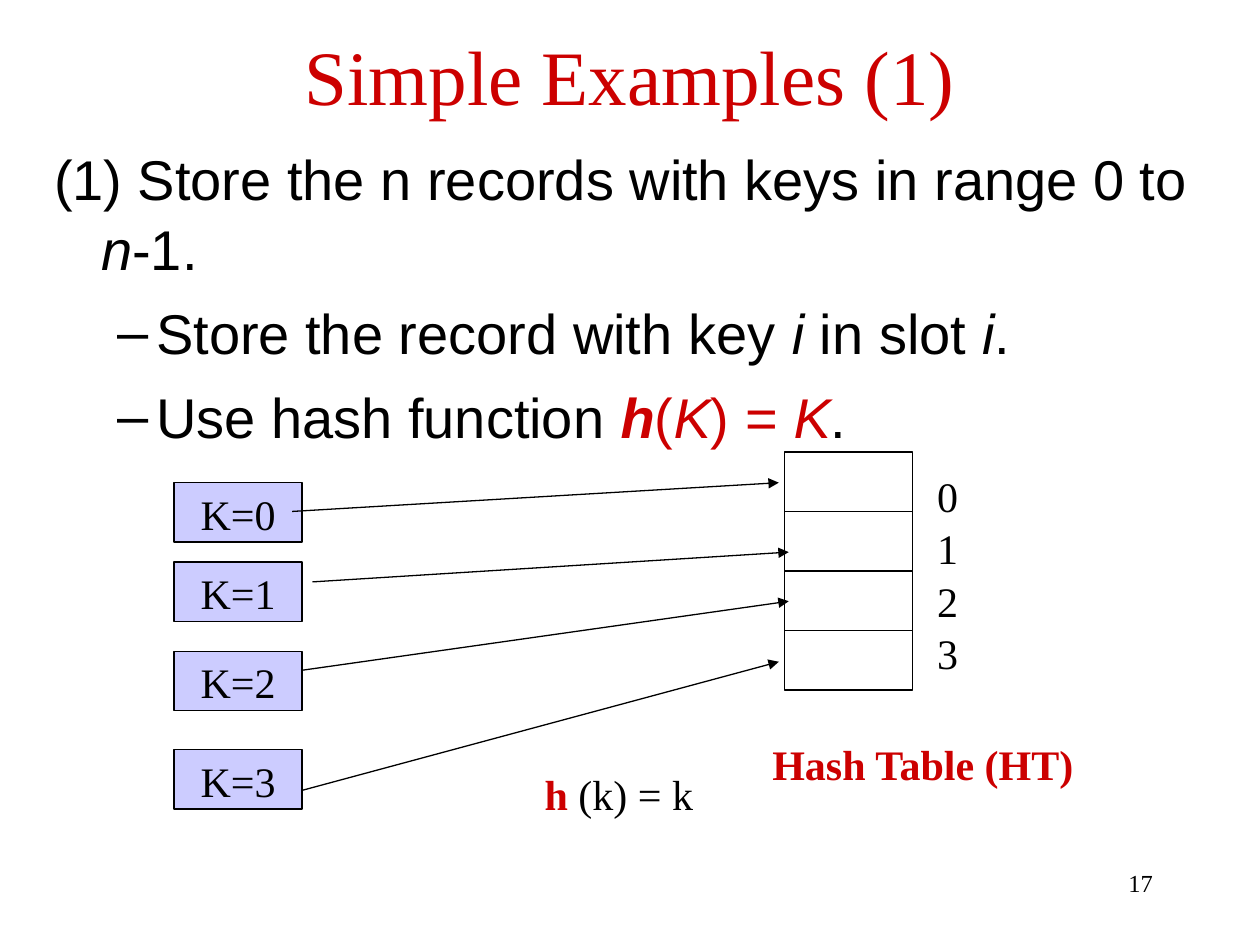
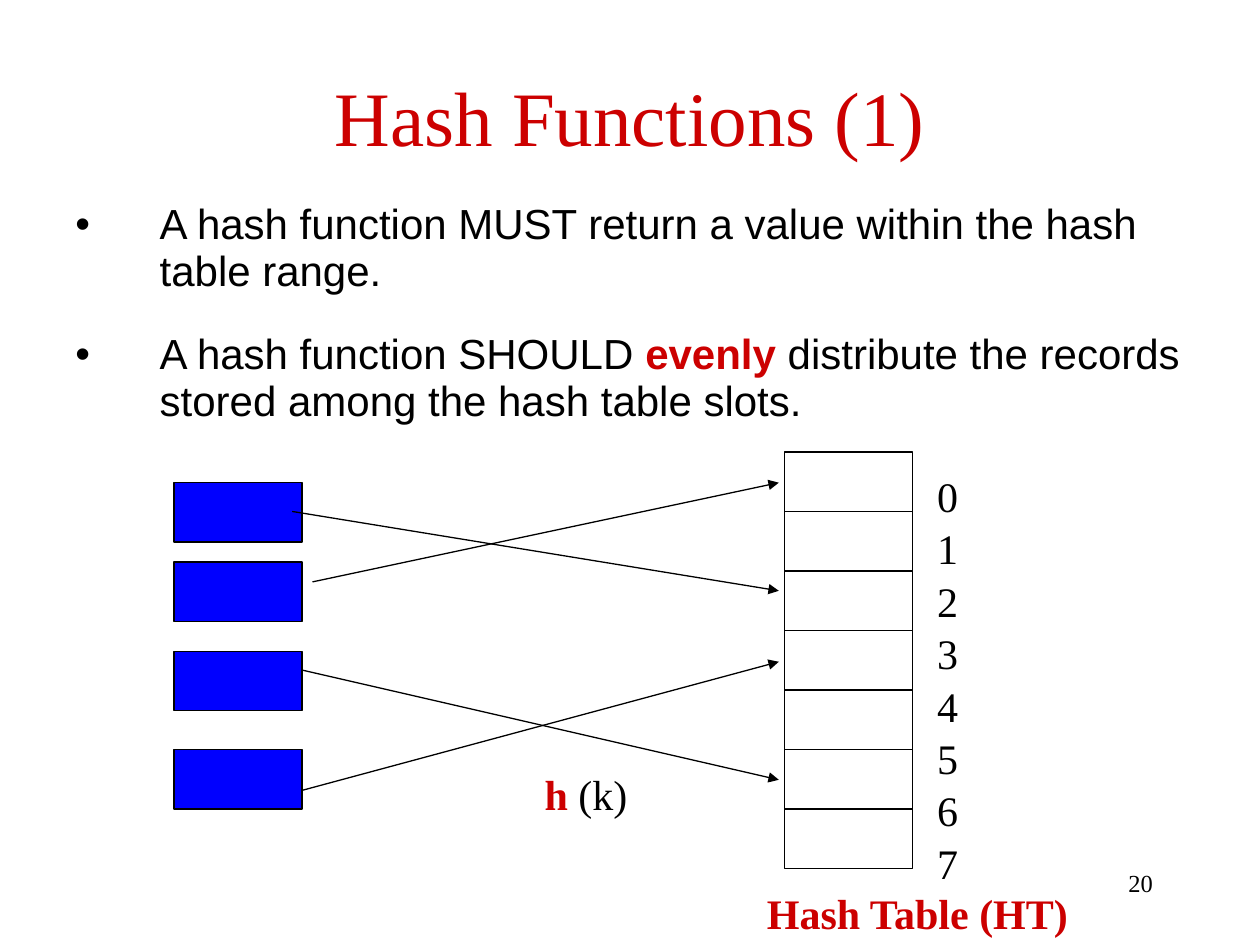
from dataclasses import dataclass
from lxml.etree import SubElement as Sub
from pptx import Presentation
from pptx.dml.color import RGBColor as Rgb
from pptx.enum.shapes import MSO_CONNECTOR as Link, MSO_SHAPE as Form
from pptx.enum.text import MSO_ANCHOR as Anchor, PP_ALIGN as Align
from pptx.oxml.ns import qn
from pptx.util import Cm, Pt


@dataclass(frozen=True)
class Theme:
    red: str = "CC0000"
    black: str = "000000"
    pale: str = "CCCCFF"
    blue: str = "0000FF"
    serif: str = "Times New Roman"
    sans: str = "Arial"
    head: int = 44
    large: int = 32
    base: int = 24
    small: int = 14
    rule: float = 0.75
    lead: float = 1.04


THEME = Theme()
KEY_TOPS = (9.73, 11.33, 13.13, 15.11)
STARTS = ((5.89, 10.31), (6.3, 11.73), (6.1, 13.51), (6.1, 15.93))
KEY_LEFT, SLOT_LEFT, SLOT_TOP = 3.51, 15.82, 9.11
CELL = (2.58, 1.2)


def red(text, bold=False, slant=False):
    return text, {"color": THEME.red, "bold": bold, "slant": slant}


def slant(text):
    return text, {"slant": True}


def write(frame, text, size=THEME.base, face=THEME.serif, color=THEME.black,
          bold=False, align=Align.LEFT, lead=THEME.lead, gap=0,
          hang=0, left=0, mark=None, new=False):
    para = frame.add_paragraph() if new else frame.paragraphs[0]
    props = para._p.get_or_add_pPr()
    if hang:
        props.set("marL", str(Cm(left)))
        props.set("indent", str(-Cm(hang)))
    if mark:
        Sub(props, qn("a:buFont"), typeface=THEME.sans)
        Sub(props, qn("a:buChar"), char=mark)
    para.alignment = align
    para.line_spacing = lead
    para.space_before = Pt(gap)
    for part in [text] if isinstance(text, str) else text:
        words, look = (part, {}) if isinstance(part, str) else part
        run = para.add_run()
        run.text = words
        font = run.font
        font.name, font.size = face, Pt(size)
        font.bold = look.get("bold", bold)
        font.italic = look.get("slant", False)
        font.color.rgb = Rgb.from_string(look.get("color", color))


class Deck:
    def __init__(self, theme):
        self.theme = theme
        self.file = Presentation()
        self.file.slide_width, self.file.slide_height = Cm(25.4), Cm(19.05)
        self.slide = None

    def page(self, title, top, number):
        self.slide = self.file.slides.add_slide(self.file.slide_layouts[6])
        self.text(title, 1.27, top, 22.86, 2.54, anchor=Anchor.MIDDLE,
                  size=self.theme.head, color=self.theme.red, align=Align.CENTER)
        self.text(str(number), 18.21, 17.35, 5.28, 1.27,
                  size=self.theme.small, align=Align.RIGHT)

    def frame(self, left, top, width, height, anchor=Anchor.TOP):
        box = self.slide.shapes.add_textbox(Cm(left), Cm(top), Cm(width), Cm(height))
        frame = box.text_frame
        frame.word_wrap = True
        frame.vertical_anchor = anchor
        return frame

    def text(self, text, left, top, width, height, anchor=Anchor.TOP, **style):
        write(self.frame(left, top, width, height, anchor), text, **style)

    def cell(self, left, top, fill=None, label=None):
        box = self.slide.shapes.add_shape(
            Form.RECTANGLE, Cm(left), Cm(top), *map(Cm, CELL))
        box.shadow.inherit = False
        box.line.color.rgb = Rgb.from_string(self.theme.black)
        box.line.width = Pt(self.theme.rule)
        if fill:
            box.fill.solid()
            box.fill.fore_color.rgb = Rgb.from_string(fill)
        else:
            box.fill.background()
        if label:
            box.text_frame.vertical_anchor = Anchor.MIDDLE
            write(box.text_frame, label, align=Align.CENTER)

    def arrow(self, start, end):
        line = self.slide.shapes.add_connector(
            Link.STRAIGHT, *map(Cm, start), *map(Cm, end))
        line.line.color.rgb = Rgb.from_string(self.theme.black)
        line.line.width = Pt(self.theme.rule)
        Sub(line.line._get_or_add_ln(), qn("a:tailEnd"), type="triangle")
        Sub(line._element.spPr, qn("a:effectLst"))

    def keys(self, fill, labels):
        for top, label in zip(KEY_TOPS, labels):
            self.cell(KEY_LEFT, top, fill, label)

    def slots(self, count, last):
        for row in range(count):
            self.cell(SLOT_LEFT, SLOT_TOP + row * CELL[1])
        frame = self.frame(18.64, 9.32, 0.92, 0.25 + 1.02 * (last + 1))
        for num in range(last + 1):
            write(frame, str(num), new=num > 0)

    def hash(self, rest, ends, left, top):
        for start, end in zip(STARTS, ends):
            self.arrow(start, end)
        self.text([red("h", bold=True), rest], 10.73, 15.32, 4, 1.27)
        self.text("Hash Table (HT)", left, top, 7.5, 1.27,
                  color=self.theme.red, bold=True)


def simple(deck):
    deck.page("Simple Examples (1)", 0.2, 17)
    body = deck.frame(0.84, 2.74, 23.7, 14.4)
    style = {"size": THEME.large, "face": THEME.sans}
    write(body, ["(1) Store the n records with keys in range 0 to ",
                 slant("n"), "-1."], left=0.95, hang=0.95, **style)
    points = (
        ["Store the record with key ", slant("i"), " in slot ", slant("i"), "."],
        ["Use hash function ", red("h", bold=True, slant=True), red("("),
         red("K", slant=True), red(") = "), red("K", slant=True), "."],
    )
    for point in points:
        write(body, point, new=True, left=2.06, hang=0.79, gap=8, mark="–", **style)
    deck.keys(THEME.pale, [f"K={num}" for num in range(4)])
    deck.slots(4, 3)
    deck.hash(" (k) = k", ((15.7, 9.73), (15.9, 11.13), (15.9, 12.12),
                           (15.7, 13.34)), 15.32, 14.73)


def spread(deck):
    deck.page("Hash Functions (1)", 1.02, 20)
    body = deck.frame(1.27, 3.94, 23.24, 4.67)
    points = (
        "A hash function MUST return a value within the hash table range.",
        ["A hash function SHOULD ", red("evenly", bold=True),
         " distribute the records stored among the hash table slots."],
    )
    for num, point in enumerate(points):
        write(body, point, face=THEME.sans, lead=0.94, gap=20 * num,
              left=1.7, hang=1.7, mark="•", new=num > 0)
    deck.keys(THEME.blue, [None] * 4)
    deck.slots(7, 7)
    deck.hash(" (k)", ((15.7, 11.91), (15.7, 9.73), (15.7, 15.72),
                       (15.7, 13.34)), 15.21, 17.73)


def main():
    deck = Deck(THEME)
    simple(deck)
    spread(deck)
    deck.file.save("out.pptx")


if __name__ == "__main__":
    main()
